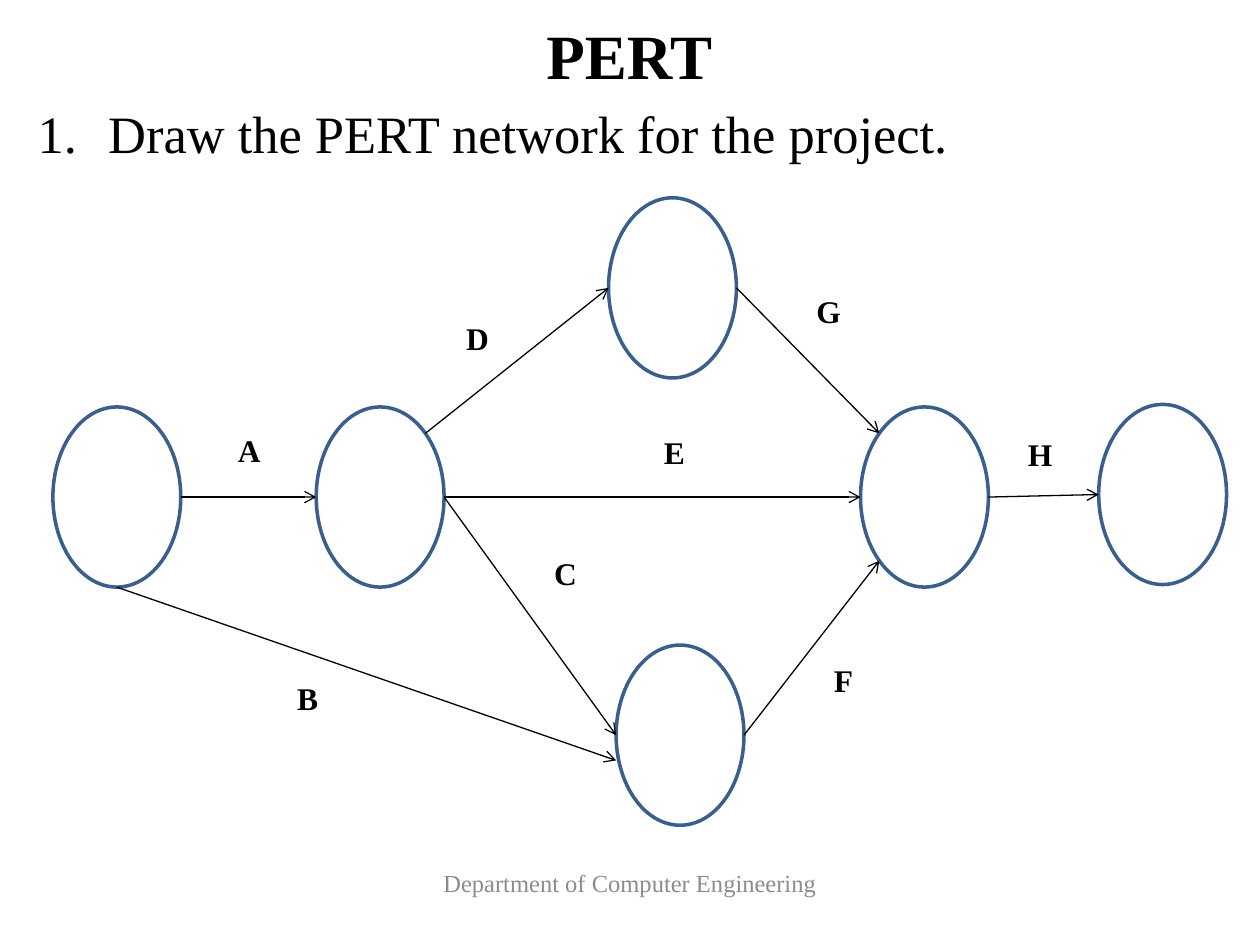
from collections import namedtuple
from math import sqrt

from lxml.etree import SubElement
from pptx import Presentation
from pptx.dml.color import RGBColor
from pptx.enum.shapes import MSO_CONNECTOR as Connector, MSO_SHAPE as Shape
from pptx.enum.text import MSO_ANCHOR as Anchor, MSO_AUTO_SIZE as AutoSize, PP_ALIGN as Align
from pptx.oxml.ns import qn
from pptx.util import Inches, Pt

Box = namedtuple("Box", "left top width height")

WIDTH, HEIGHT = Inches(10), Inches(7.5)
COLUMN, ROW = WIDTH / 100, HEIGHT / 75
FONT = "Times New Roman"
BLACK = RGBColor(0x00, 0x00, 0x00)
WHITE = RGBColor(0xFF, 0xFF, 0xFF)
GREY = RGBColor(0x8C, 0x8C, 0x8C)
BLUE = RGBColor(0x3A, 0x5F, 0x8C)

TITLE = Box(2.9, 0.7, 94.1, 7.2)
QUESTION = Box(2, 8.1, 96.1, 62.8)
NETWORK = Box(4.2, 15.7, 93.2, 49.8)
FOOTER = Box(33.1, 66.6, 33.8, 6.9)

NODE_WIDTH, NODE_HEIGHT = 10.15, 14.3
NODES = {
    "start": (0, 16.6),
    "split": (20.9, 16.6),
    "upper": (44.1, 0),
    "merge": (64.1, 16.6),
    "finish": (83, 16.4),
    "lower": (44.7, 35.5),
}
NEAR, FAR = 0.5 - sqrt(0.125), 0.5 + sqrt(0.125)
SIDES = {
    "left": (0, 0.5),
    "right": (1, 0.5),
    "bottom": (0.5, 1),
    "low left": (0, 0.64),
    "top left": (NEAR, NEAR),
    "top right": (FAR, NEAR),
    "bottom left": (NEAR, FAR),
}
ACTIVITIES = [
    ("A", "start", "right", "split", "left", (13.7, 18)),
    ("B", "start", "bottom", "lower", "low left", (18.4, 37.7)),
    ("C", "split", "right", "lower", "left", (38.8, 27.8)),
    ("D", "split", "top right", "upper", "left", (31.8, 9.1)),
    ("E", "split", "right", "merge", "left", (47.5, 18.2)),
    ("F", "lower", "right", "merge", "bottom left", (61, 36.3)),
    ("G", "upper", "right", "merge", "top left", (59.6, 7)),
    ("H", "merge", "right", "finish", "left", (76.4, 18.3)),
]


def lengths(box):
    """Turn a box in grid units into slide lengths."""
    return (round(box.left * COLUMN), round(box.top * ROW),
            round(box.width * COLUMN), round(box.height * ROW))


def add_span(para, text, size, color=BLACK, bold=False):
    """Add one formatted run to a paragraph."""
    span = para.add_run()
    span.text = text
    span.font.name, span.font.size, span.font.bold = FONT, Pt(size), bold
    span.font.color.rgb = color


def add_text_frame(page, box, wrap=True):
    """Add a text box and return its frame."""
    frame = page.shapes.add_textbox(*lengths(box)).text_frame
    frame.word_wrap = wrap
    return frame


def add_title(page, box, text):
    """Place and format the title placeholder."""
    title = page.shapes.title
    title.left, title.top, title.width, title.height = lengths(box)
    title.text_frame.vertical_anchor = Anchor.MIDDLE
    para = title.text_frame.paragraphs[0]
    para.alignment = Align.CENTER
    add_span(para, text, 36, bold=True)


def add_question(page, box, text):
    """Add a numbered question."""
    para = add_text_frame(page, box).paragraphs[0]
    para.alignment = Align.JUSTIFY
    para.line_spacing = 0.9
    properties = para._p.get_or_add_pPr()
    indent = Inches(0.56)
    properties.set("marL", str(indent))
    properties.set("indent", str(-indent))
    SubElement(properties, qn("a:buFont"), typeface="+mj-lt")
    SubElement(properties, qn("a:buAutoNum"), type="arabicPeriod")
    add_span(para, text, 30)


def add_footer(page, box, text):
    """Add the centred footer line."""
    frame = add_text_frame(page, box)
    frame.vertical_anchor = Anchor.MIDDLE
    para = frame.paragraphs[0]
    para.alignment = Align.CENTER
    add_span(para, text, 14, GREY)


def add_node(page, box):
    """Add one empty event ellipse."""
    node = page.shapes.add_shape(Shape.OVAL, *lengths(box))
    node.shadow.inherit = False
    node.fill.solid()
    node.fill.fore_color.rgb = WHITE
    node.line.color.rgb = BLUE
    node.line.width = Pt(2)


def add_arrow(page, begin, end):
    """Add an arrow between two grid points."""
    ends = [round(value * unit) for point in (begin, end)
            for value, unit in zip(point, (COLUMN, ROW))]
    arrow = page.shapes.add_connector(Connector.STRAIGHT, *ends)
    arrow.line.color.rgb = BLACK
    arrow.line.width = Pt(0.75)
    SubElement(arrow.line._get_or_add_ln(), qn("a:tailEnd"), type="arrow")
    SubElement(arrow._element.spPr, qn("a:effectLst"))


def add_label(page, box, text):
    """Add the letter of an activity."""
    frame = add_text_frame(page, box, wrap=False)
    frame.auto_size = AutoSize.SHAPE_TO_FIT_TEXT
    add_span(frame.paragraphs[0], text, 18, bold=True)


def add_network(page, box):
    """Draw the events and the lettered activities inside a box."""
    nodes = {name: Box(box.left + left, box.top + top, NODE_WIDTH, NODE_HEIGHT)
             for name, (left, top) in NODES.items()}
    for node in nodes.values():
        add_node(page, node)

    def point(name, side):
        """Find the grid point on one side of a node."""
        node, (across, down) = nodes[name], SIDES[side]
        return node.left + across * node.width, node.top + down * node.height

    for letter, source, exit_side, target, entry_side, (left, top) in ACTIVITIES:
        add_arrow(page, point(source, exit_side), point(target, entry_side))
        add_label(page, Box(box.left + left, box.top + top, 3.8, 4), letter)


def main():
    """Build and save the deck."""
    deck = Presentation()
    deck.slide_width, deck.slide_height = WIDTH, HEIGHT
    page = deck.slides.add_slide(deck.slide_layouts.get_by_name("Title Only"))
    add_title(page, TITLE, "PERT")
    add_footer(page, FOOTER, "Department of Computer Engineering")
    add_question(page, QUESTION, "Draw the PERT network for the project.")
    add_network(page, NETWORK)
    deck.save("out.pptx")


if __name__ == "__main__":
    main()
